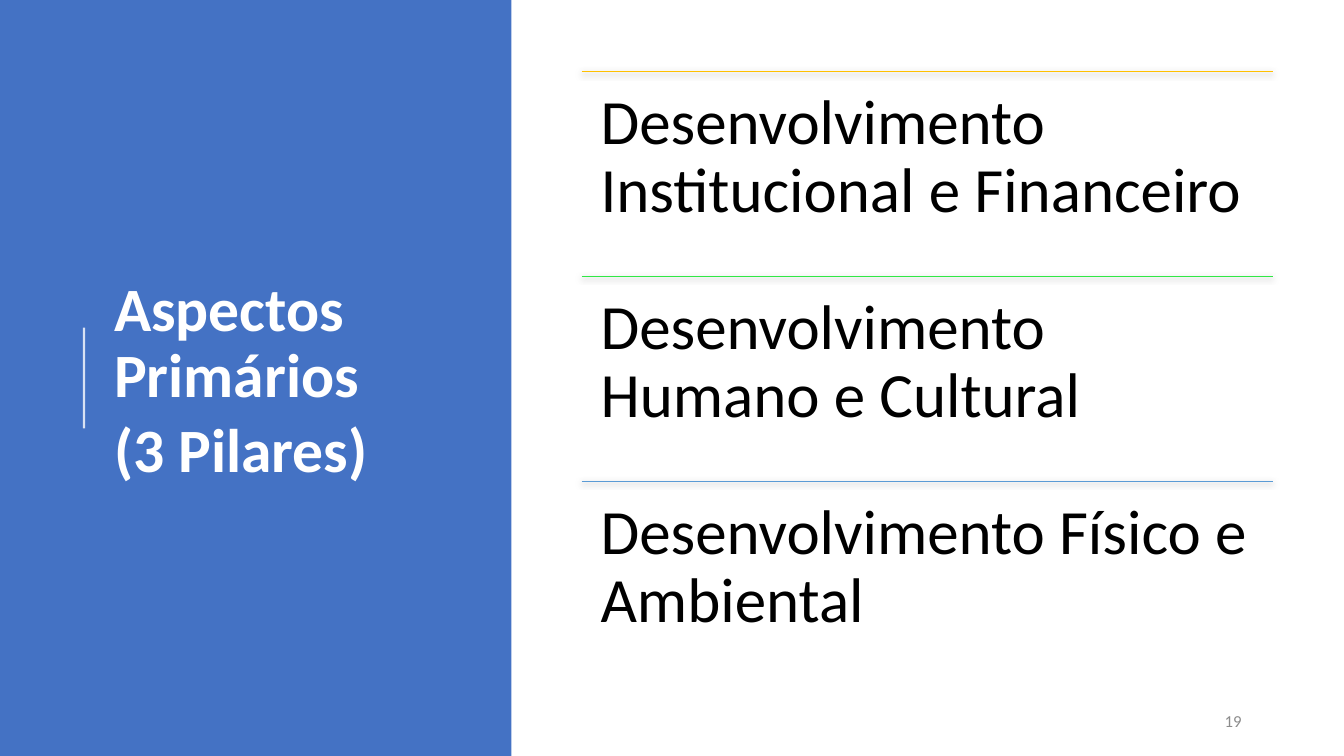
from pptx import Presentation
from pptx import util as u
from pptx.dml.color import RGBColor
from pptx.enum import shapes, text
from pptx.oxml import parse_xml
from pptx.oxml.ns import nsdecls, qn

PX = 9525
COLORS = {
    "panel": "4472C4",
    "white": "FFFFFF",
    "black": "000000",
    "number": "8C8C8C",
    "gold": "FFC000",
    "green": "30E845",
    "blue": "5B9BD5",
}
PILLARS = [
    ("Desenvolvimento Institucional e Financeiro", "gold"),
    ("Desenvolvimento Humano e Cultural", "green"),
    ("Desenvolvimento Físico e Ambiental", "blue"),
]
PILLAR_LEFT, PILLAR_TOP, PILLAR_WIDTH, PILLAR_HEIGHT = 554, 68, 658, 195
SOFT_SHADOW = (
    '<a:outerShdw blurRad="57150" dist="19050" dir="5400000" algn="ctr" rotWithShape="0">'
    '<a:srgbClr val="000000"><a:alpha val="63000"/></a:srgbClr></a:outerShdw>'
)


def px(*lengths):
    return [u.Emu(length * PX) for length in lengths]


def color(name):
    return RGBColor.from_string(COLORS[name])


def format_text(frame, size, color_name, bold=False, align=text.PP_ALIGN.LEFT,
                spacing=0.9, after=0):
    frame.word_wrap = True
    frame.auto_size = text.MSO_AUTO_SIZE.NONE
    for paragraph in frame.paragraphs:
        paragraph.alignment = align
        paragraph.line_spacing = spacing
        paragraph.space_before = u.Pt(0)
        paragraph.space_after = u.Pt(after)
        for span in paragraph.runs:
            span.font.name = "Calibri"
            span.font.size = u.Pt(size)
            span.font.bold = bold
            span.font.color.rgb = color(color_name)


def add_panel(page, left, top, width, height):
    panel = page.shapes.add_shape(
        shapes.MSO_SHAPE.RECTANGLE, *px(left, top, width, height))
    panel.shadow.inherit = False
    panel.fill.solid()
    panel.fill.fore_color.rgb = color("panel")
    panel.line.fill.background()
    return panel


def add_rule(page, start, end, color_name, width, opacity=100, shadow=""):
    """Draw a straight line, with opacity in percent and an optional shadow element."""
    rule = page.shapes.add_connector(
        shapes.MSO_CONNECTOR.STRAIGHT, *px(*start, *end))
    rule.line.color.rgb = color(color_name)
    rule.line.width = u.Pt(width)
    if opacity < 100:
        fill = rule.element.spPr.find(".//" + qn("a:srgbClr"))
        fill.append(parse_xml(f'<a:alpha {nsdecls("a")} val="{opacity * 1000}"/>'))
    rule.element.spPr.append(
        parse_xml(f'<a:effectLst {nsdecls("a")}>{shadow}</a:effectLst>'))


def add_pillar(page, top, label, color_name):
    right = PILLAR_LEFT + PILLAR_WIDTH
    add_rule(page, (PILLAR_LEFT, top), (right, top), color_name, 0.5, shadow=SOFT_SHADOW)
    box = page.shapes.add_textbox(*px(PILLAR_LEFT, top, PILLAR_WIDTH, PILLAR_HEIGHT))
    frame = box.text_frame
    frame.margin_left, frame.margin_top, frame.margin_right, frame.margin_bottom = px(18, 18, 18, 18)
    frame.text = label
    format_text(frame, 45, "black")


def set_title(page, panel):
    title = page.shapes.title
    panel.element.addnext(title.element)
    title.left, title.top, title.width, title.height = px(99, 75, 354, 578)
    frame = title.text_frame
    frame.text = "Aspectos Primários\n(3 Pilares)"
    frame.vertical_anchor = text.MSO_ANCHOR.MIDDLE
    format_text(frame, 44, "white", bold=True, after=6)


def add_page_number(page, number):
    box = page.shapes.add_textbox(*px(904, 667, 288, 38))
    frame = box.text_frame
    frame.text = number
    frame.vertical_anchor = text.MSO_ANCHOR.MIDDLE
    format_text(frame, 12, "number", align=text.PP_ALIGN.RIGHT, spacing=1.0)


def main():
    deck = Presentation()
    deck.slide_width, deck.slide_height = px(1280, 720)
    page = deck.slides.add_slide(deck.slide_layouts.get_by_name("Title Only"))

    panel = add_panel(page, 0, 0, 487, 720)
    set_title(page, panel)
    add_rule(page, (80, 408), (80, 312), "white", 1.5, opacity=80)
    for index, (label, color_name) in enumerate(PILLARS):
        add_pillar(page, PILLAR_TOP + index * PILLAR_HEIGHT, label, color_name)
    add_page_number(page, "19")

    deck.save("out.pptx")


if __name__ == "__main__":
    main()
